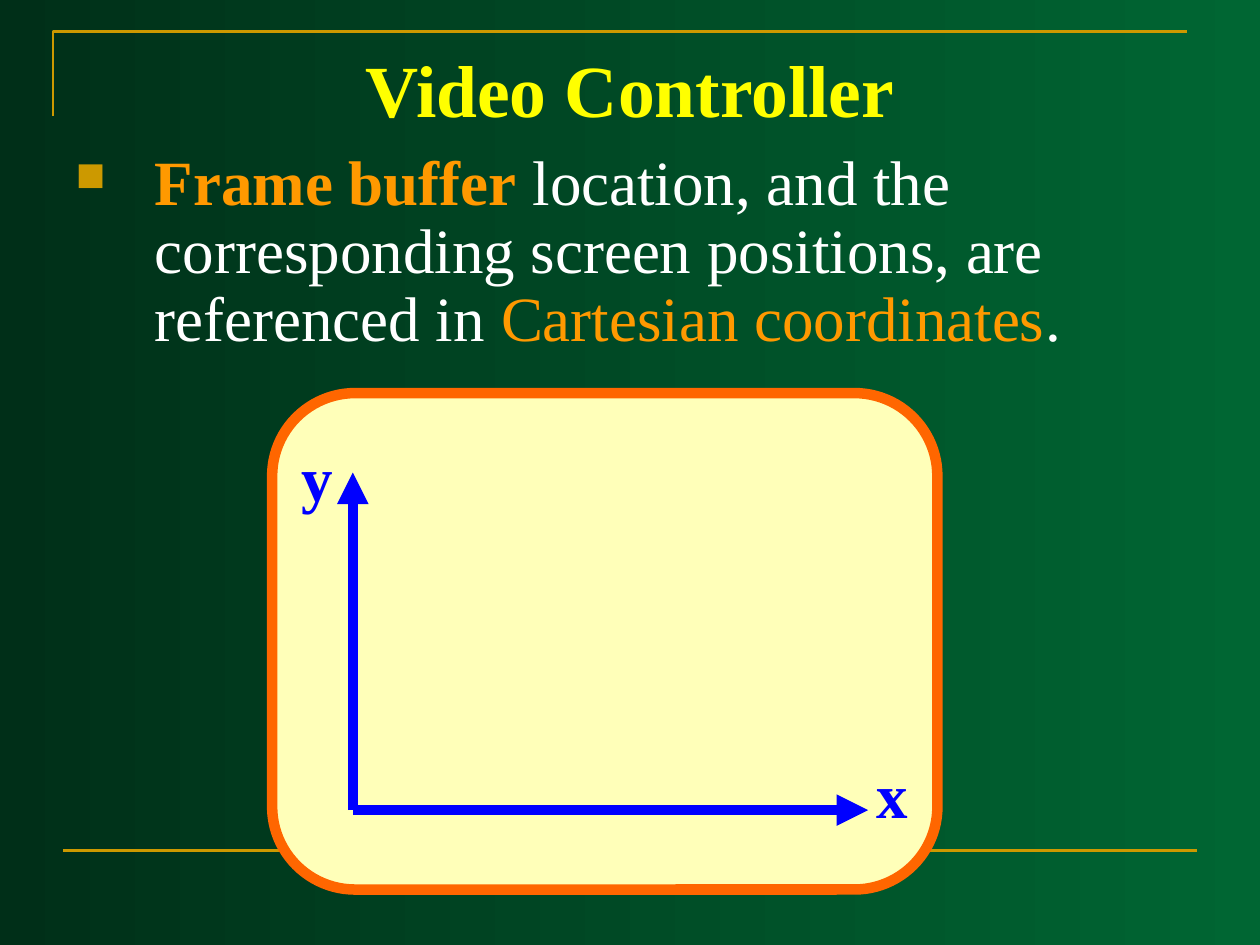
from dataclasses import dataclass

from lxml import etree
from pptx import Presentation
from pptx.dml.color import RGBColor as RGB
from pptx.enum.shapes import MSO_CONNECTOR as CONN, MSO_SHAPE as SHAPE
from pptx.enum.text import MSO_ANCHOR as ANCHOR, PP_ALIGN as ALIGN
from pptx.oxml.ns import qn
from pptx.util import Inches, Pt


@dataclass(frozen=True)
class Theme:
    """Colours, font and type sizes of the slide."""
    dark: str = "002F18"
    green: str = "006633"
    gold: str = "CC9900"
    yellow: str = "FFFF00"
    orange: str = "FF9900"
    white: str = "FFFFFF"
    cream: str = "FFFFB9"
    frame: str = "FF6600"
    blue: str = "0000FF"
    font: str = "Times New Roman"
    title_pt: float = 42
    body_pt: float = 36
    rule_pt: float = 1.5
    thick_pt: float = 6


T = Theme()


def style(r, size, color, bold=False):
    """Format one run."""
    r.font.name, r.font.size, r.font.bold = T.font, Pt(size), bold
    r.font.color.rgb = RGB.from_string(color)


def place(sp, box):
    """Move a shape to a box given in inches."""
    sp.left, sp.top, sp.width, sp.height = (Inches(v) for v in box)


def add_line(s, start, end, color, width, arrow=False):
    """Draw a straight line, with an arrowhead at its end if asked."""
    c = s.shapes.add_connector(CONN.STRAIGHT, *(Inches(v) for v in (*start, *end)))
    c.line.color.rgb = RGB.from_string(color)
    c.line.width = Pt(width)
    if arrow:
        etree.SubElement(c.line._get_or_add_ln(), qn("a:tailEnd"), type="triangle")
    etree.SubElement(c._element.spPr, qn("a:effectLst"))


def add_background(s):
    """Fill the slide with a left-to-right green gradient."""
    fill = s.background.fill
    fill.gradient()
    fill.gradient_angle = 0
    for stop, color, pos in zip(fill.gradient_stops, (T.dark, T.green), (0, 1)):
        stop.color.rgb = RGB.from_string(color)
        stop.position = pos


def add_rules(s, box):
    """Draw the corner rule at the top of the box and the rule at its foot."""
    x, y, w, h = box
    fb = s.shapes.build_freeform(Inches(x), Inches(y + 0.67))
    fb.add_line_segments([(Inches(x), Inches(y)), (Inches(x + w), Inches(y))], close=False)
    corner = fb.convert_to_shape()
    corner.shadow.inherit = False
    corner.fill.background()
    corner.line.color.rgb = RGB.from_string(T.gold)
    corner.line.width = Pt(T.rule_pt)
    add_line(s, (x + 0.08, y + h), (x + w + 0.08, y + h), T.gold, T.rule_pt)


def add_title(s, box, text):
    """Place and format the title."""
    sp = s.shapes.title
    place(sp, box)
    tf = sp.text_frame
    tf.text = text
    tf.vertical_anchor = ANCHOR.TOP
    p = tf.paragraphs[0]
    p.alignment = ALIGN.CENTER
    style(p.runs[0], T.title_pt, T.yellow, True)


def add_body(s, box, parts):
    """Write one bulleted paragraph from (text, colour, bold) parts."""
    sp = s.shapes.add_textbox(*(Inches(v) for v in box))
    tf = sp.text_frame
    tf.word_wrap = True
    p = tf.paragraphs[0]
    p.line_spacing = 0.9
    pPr = p._p.get_or_add_pPr()
    pPr.set("marL", str(Inches(0.63)))
    pPr.set("indent", str(-Inches(0.63)))
    color = etree.SubElement(pPr, qn("a:buClr"))
    etree.SubElement(color, qn("a:srgbClr"), val=T.gold)
    etree.SubElement(pPr, qn("a:buSzPct"), val="65000")
    etree.SubElement(pPr, qn("a:buChar"), char="■")
    for text, color, bold in parts:
        r = p.add_run()
        r.text = text
        style(r, T.body_pt, color, bold)


def add_axis_label(s, x, y, text):
    """Write the name of an axis."""
    sp = s.shapes.add_textbox(Inches(x), Inches(y), Inches(1.02), Inches(0.7))
    tf = sp.text_frame
    tf.word_wrap = True
    tf.text = text
    p = tf.paragraphs[0]
    p.alignment = ALIGN.CENTER
    style(p.runs[0], T.body_pt, T.blue, True)


def add_screen(s, box):
    """Draw the rounded screen with its x and y axes."""
    x, y, w, h = box
    sp = s.shapes.add_shape(SHAPE.ROUNDED_RECTANGLE, *(Inches(v) for v in box))
    sp.adjustments[0] = 0.167
    sp.shadow.inherit = False
    sp.fill.solid()
    sp.fill.fore_color.rgb = RGB.from_string(T.cream)
    sp.line.color.rgb = RGB.from_string(T.frame)
    sp.line.width = Pt(T.thick_pt)
    origin = (x + 0.64, y + 3.31)
    for end in ((x + 4.73, origin[1]), (origin[0], y + 0.63)):
        add_line(s, origin, end, T.blue, T.thick_pt, arrow=True)
    add_axis_label(s, x + 4.41, y + 2.83, "x")
    add_axis_label(s, x - 0.15, y + 0.31, "y")


def main():
    """Build and save the slide."""
    prs = Presentation()
    prs.slide_width, prs.slide_height = Inches(10), Inches(7.5)
    s = prs.slides.add_slide(prs.slide_layouts[5])
    add_background(s)
    add_rules(s, (0.42, 0.25, 9, 6.5))
    add_title(s, (0.5, 0.3, 9, 1.25), "Video Controller")
    add_body(s, (0.5, 1.15, 9.15, 5.55), (
        ("Frame buffer", T.orange, True),
        (" location, and the corresponding screen positions, are referenced in ", T.white, False),
        ("Cartesian coordinates", T.orange, False),
        (".", T.white, False),
    ))
    add_screen(s, (2.16, 3.12, 5.28, 3.94))
    prs.save("out.pptx")


if __name__ == "__main__":
    main()
